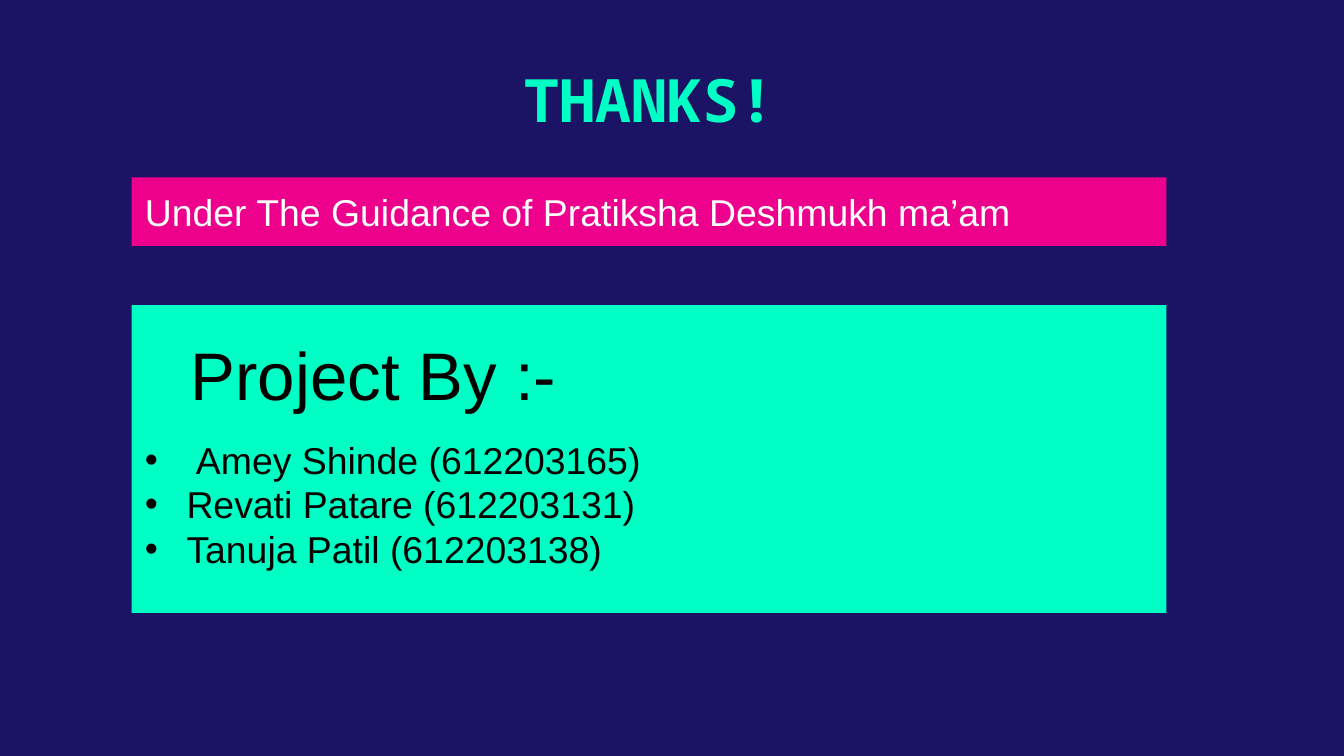
import pptx
import pptx.dml.color
import pptx.enum.shapes
import pptx.enum.text
import pptx.oxml
import pptx.oxml.ns
import pptx.util
from pptx.util import Inches

COLORS = {"navy": "1B1464", "mint": "00FFC5", "pink": "EC008C",
          "white": "FFFFFF", "black": "000000"}
MIDDLE = pptx.enum.text.MSO_ANCHOR.MIDDLE


def rgb(name):
    return pptx.dml.color.RGBColor.from_string(COLORS[name])


class Deck:
    """Holds the text style and the current slide."""
    font = "Arial"
    title_font = "Noto Sans Mono"
    inset = Inches(0.1)

    def __init__(self, prs):
        self.s = prs.slides.add_slide(prs.slide_layouts[5])
        fill = self.s.background.fill
        fill.solid()
        fill.fore_color.rgb = rgb("navy")

    def format(self, tf, size, color, font=None, bold=False, align="LEFT"):
        for p in tf.paragraphs:
            p.alignment = pptx.enum.text.PP_ALIGN[align]
            for r in p.runs:
                r.font.name = font or self.font
                r.font.size = pptx.util.Pt(size)
                r.font.bold = bold
                r.font.color.rgb = rgb(color)

    def set_frame(self, tf, top_inset=None):
        tf.word_wrap = True
        tf.auto_size = pptx.enum.text.MSO_AUTO_SIZE.NONE
        tf.vertical_anchor = MIDDLE
        tf.margin_left = tf.margin_right = tf.margin_bottom = self.inset
        tf.margin_top = top_inset or self.inset

    def title(self, text, left, top, width, height):
        sp = self.s.shapes.title
        sp.left, sp.top, sp.width, sp.height = map(Inches, (left, top, width, height))
        tf = sp.text_frame
        tf.text = text
        self.set_frame(tf)
        self.format(tf, 32, "mint", self.title_font, True, "CENTER")

    def panel(self, lines, left, top, width, height, fill, color, top_inset=None):
        sp = self.s.shapes.add_shape(pptx.enum.shapes.MSO_SHAPE.RECTANGLE,
                                     *map(Inches, (left, top, width, height)))
        sp.shadow.inherit = False
        sp.fill.solid()
        sp.fill.fore_color.rgb = rgb(fill)
        sp.line.fill.background()
        tf = sp.text_frame
        tf.text = "\n".join(lines)
        self.set_frame(tf, top_inset)
        self.format(tf, 20, color)
        return tf

    def bullet(self, p, indent):
        """Give the paragraph a round bullet hanging by indent inches."""
        pPr = p._p.get_or_add_pPr()
        pPr.set("marL", str(Inches(indent)))
        pPr.set("indent", str(-Inches(indent)))
        ns = pptx.oxml.ns.nsdecls("a")
        for xml in (f'<a:buClr {ns}><a:srgbClr val="{COLORS["black"]}"/></a:buClr>',
                    f'<a:buFont {ns} typeface="Arial"/>',
                    f'<a:buChar {ns} char="•"/>'):
            pPr.append(pptx.oxml.parse_xml(xml))

    def label(self, text, left, top, width, height, size, color):
        sp = self.s.shapes.add_textbox(*map(Inches, (left, top, width, height)))
        tf = sp.text_frame
        tf.text = text
        tf.word_wrap = False
        tf.auto_size = pptx.enum.text.MSO_AUTO_SIZE.SHAPE_TO_FIT_TEXT
        self.format(tf, size, color)


def main():
    prs = pptx.Presentation()
    prs.slide_width = Inches(10)
    prs.slide_height = prs.slide_width * 9 // 16
    deck = Deck(prs)
    left, width = 0.98, 7.7

    deck.title("THANKS!", 1.23, 0.37, 7.2, 0.73)
    members = deck.panel(
        ["Amey Shinde (612203165)", "Revati Patare (612203131)",
         "Tanuja Patil (612203138)"],
        left, 2.27, width, 2.29, "mint", "black", top_inset=Inches(0.77))
    for p, indent in zip(members.paragraphs, (0.38, 0.31, 0.31)):
        deck.bullet(p, indent)
    deck.panel(["Under The Guidance of Pratiksha Deshmukh ma’am"],
               left, 1.32, width, 0.51, "pink", "white")
    deck.label("Project By :-", 1.32, 2.43, 2.95, 0.71, 36, "black")
    prs.save("out.pptx")


if __name__ == "__main__":
    main()
